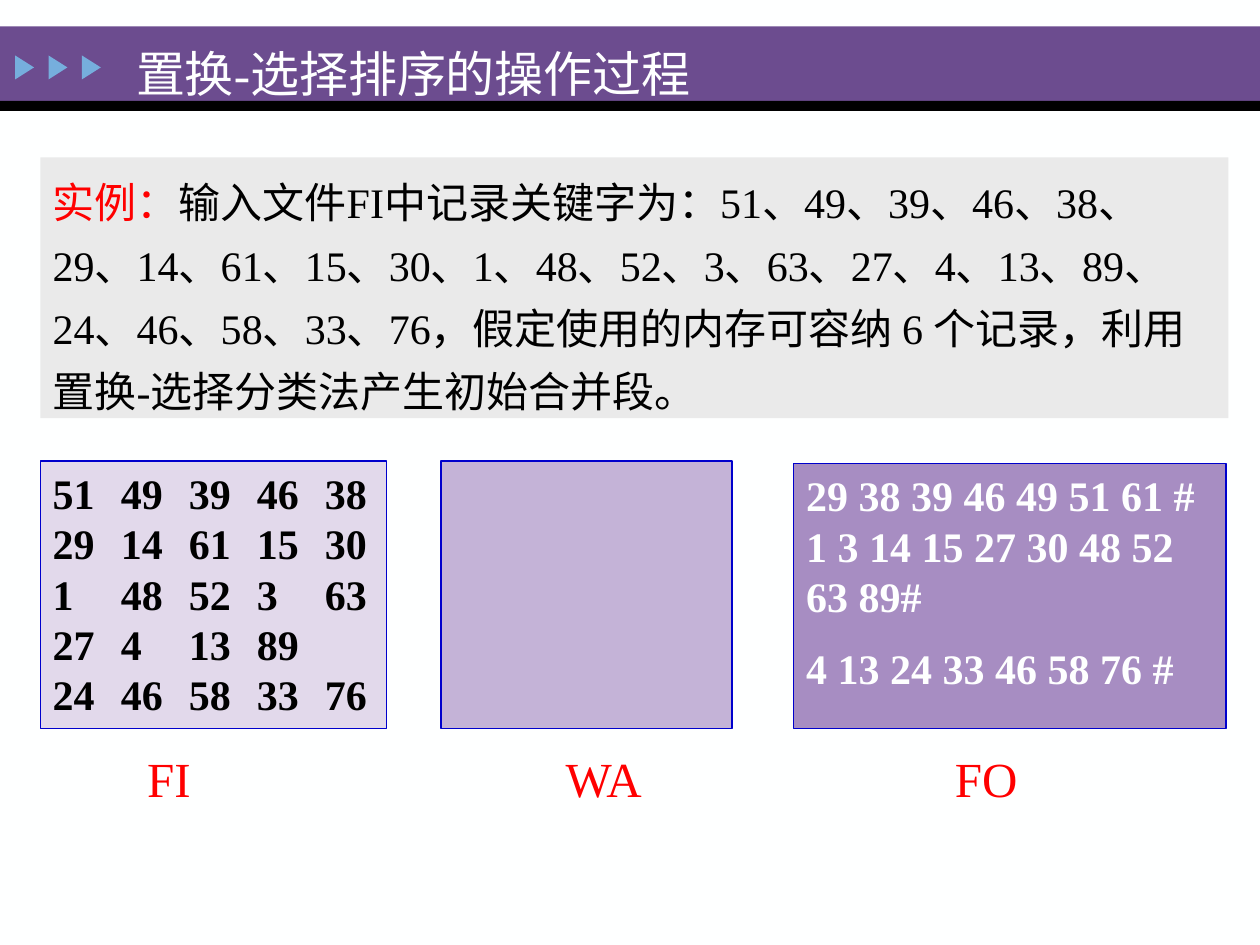
import pptx
import pptx.util
import pptx.dml.color
import pptx.enum.shapes
import pptx.enum.text
import lxml.etree
from pptx.util import Inches

# Content
TITLE = "置换-选择排序的操作过程"
EXAMPLE_LABEL = "实例："
EXAMPLE = ("输入文件FI中记录关键字为：51、49、39、46、38、29、14、61、15、30、1、48、52、"
           "3、63、27、4、13、89、24、46、58、33、76，假定使用的内存可容纳 6 个记录，"
           "利用置换-选择分类法产生初始合并段。")
FI_ROWS = [
    (51, 49, 39, 46, 38),
    (29, 14, 61, 15, 30),
    (1, 48, 52, 3, 63),
    (27, 4, 13, 89),
    (24, 46, 58, 33, 76),
]
FO_RUNS = ["29 38 39 46 49 51 61 # 1 3 14 15 27 30 48 52 63 89#",
           "4 13 24 33 46 58 76 #"]

THEME = {
    "font": "Times New Roman", "title": 28, "body": 24, "label": 28,
    "bg": "FEFFFF", "white": "FEFFFF", "black": "000000", "red": "FF0000",
    "band": "6C4C8F", "arrow": "76AEDD", "example": "EAEAEA", "border": "0000CC",
    "FI": "E2D9EB", "WA": "C4B3D7", "FO": "A78DC2",
}
# name, box (left, top, width, height), label left and width
FILES = [
    ("FI", (0.32, 3.66, 2.75, 2.12), (1.07, 0.81)),
    ("WA", (3.5, 3.66, 2.31, 2.12), (4.39, 1.32)),
    ("FO", (6.3, 3.68, 3.43, 2.1), (7.48, 0.81)),
]
LABEL_TOP, LABEL_HEIGHT = 5.89, 0.57
COLUMN_STEP, COLUMNS = 0.54, 5
SHAPE = pptx.enum.shapes.MSO_SHAPE


def rgb(name):
    return pptx.dml.color.RGBColor.from_string(THEME[name])


def add_box(s, box, fill, line=None, kind=SHAPE.RECTANGLE):
    sp = s.shapes.add_shape(kind, *map(Inches, box))
    sp.shadow.inherit = False
    sp.fill.solid()
    sp.fill.fore_color.rgb = rgb(fill)
    if line:
        sp.line.color.rgb = rgb(line)
        sp.line.width = pptx.util.Pt(0.75)
    else:
        sp.line.fill.background()
    return sp


def write(sp, paragraphs, size="body", color="black", bold=False, spacing=None, gap=0):
    """Each paragraph is a text or a list of (text, colour) runs."""
    tf = sp.text_frame
    tf.word_wrap = True
    tf.auto_size = pptx.enum.text.MSO_AUTO_SIZE.NONE
    tf.vertical_anchor = pptx.enum.text.MSO_ANCHOR.TOP
    for i, runs in enumerate(paragraphs):
        p = tf.add_paragraph() if i else tf.paragraphs[0]
        p.alignment = pptx.enum.text.PP_ALIGN.LEFT
        p.space_before = pptx.util.Pt(gap if i else 0)
        if spacing:
            p.line_spacing = spacing
        for text, c in [(runs, color)] if isinstance(runs, str) else runs:
            r = p.add_run()
            r.text = text
            r.font.name = THEME["font"]
            r.font.size = pptx.util.Pt(THEME[size])
            r.font.bold = bold
            r.font.color.rgb = rgb(c)
    return tf


def set_columns(tf):
    """Line up the numbers of every row on equal tab stops."""
    ns = "{http://schemas.openxmlformats.org/drawingml/2006/main}"
    for p in tf.paragraphs:
        tabs = lxml.etree.SubElement(p._p.get_or_add_pPr(), ns + "tabLst")
        for i in range(1, COLUMNS):
            lxml.etree.SubElement(tabs, ns + "tab", algn="l",
                                  pos=str(Inches(COLUMN_STEP * i)))


def main():
    prs = pptx.Presentation()
    prs.slide_width, prs.slide_height = Inches(10), Inches(7.5)
    s = prs.slides.add_slide(prs.slide_layouts[5])
    s.background.fill.solid()
    s.background.fill.fore_color.rgb = rgb("bg")

    # Header band with three arrows
    add_box(s, (0, 0.21, 10, 0.59), "band")
    add_box(s, (0, 0.8, 10, 0.08), "black")
    for i in range(3):
        arrow = add_box(s, (0.1 + 0.265 * i, 0.46, 0.19, 0.15), "arrow",
                        kind=SHAPE.ISOSCELES_TRIANGLE)
        arrow.rotation = 90

    # Title, brought in front of the band
    title = s.shapes.title
    title.left, title.top, title.width, title.height = map(Inches, (0.98, 0.18, 5.31, 0.58))
    write(title, [TITLE], size="title", color="white", spacing=1.25)
    title._element.getparent().append(title._element)

    # Example statement
    example = add_box(s, (0.32, 1.25, 9.43, 2.07), "example")
    write(example, [[(EXAMPLE_LABEL, "red"), (EXAMPLE, "black")]], spacing=1.25)

    # Input file, work area and output file with their labels
    boxes = {}
    for name, box, (left, width) in FILES:
        boxes[name] = add_box(s, box, name, line="border")
        label = s.shapes.add_textbox(*map(Inches, (left, LABEL_TOP, width, LABEL_HEIGHT)))
        write(label, [name], size="label", color="red")

    rows = ["\t".join(map(str, row)) for row in FI_ROWS]
    set_columns(write(boxes["FI"], rows, bold=True))
    write(boxes["FO"], FO_RUNS, color="white", bold=True, gap=12)

    prs.save("out.pptx")


if __name__ == "__main__":
    main()
